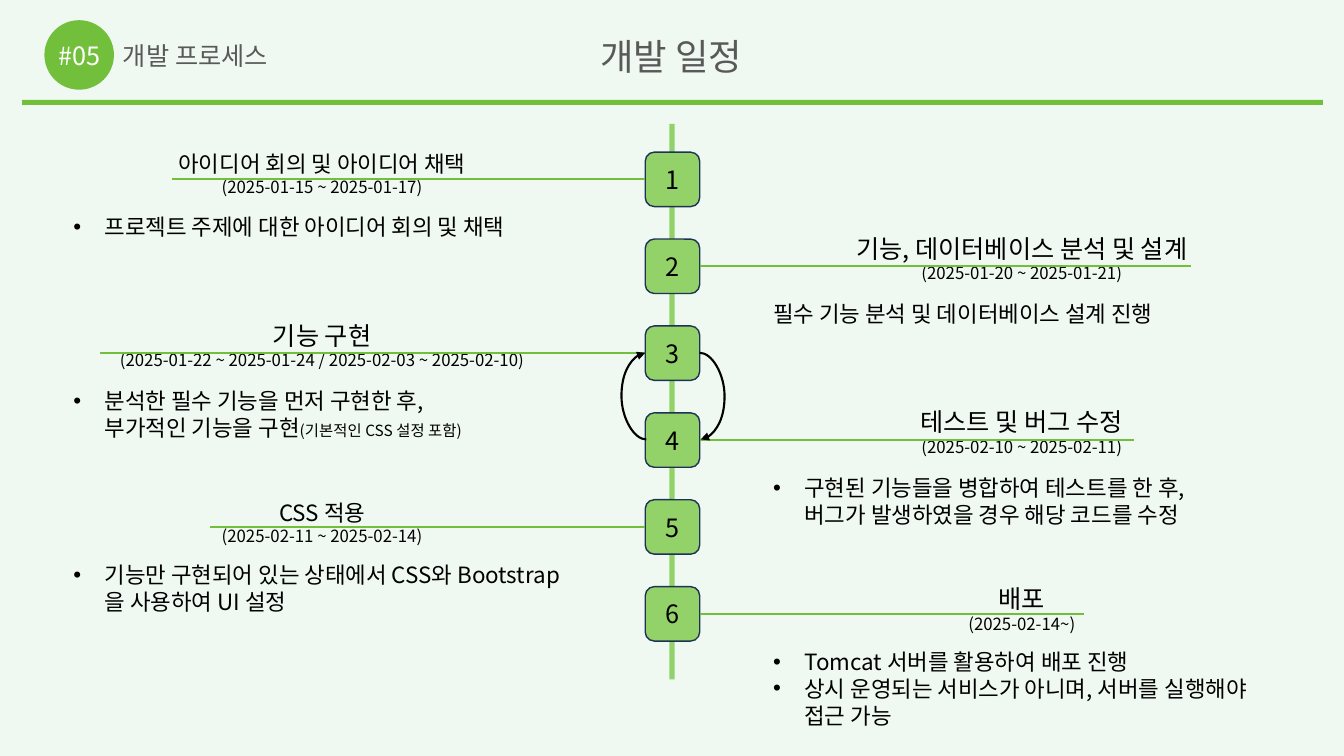
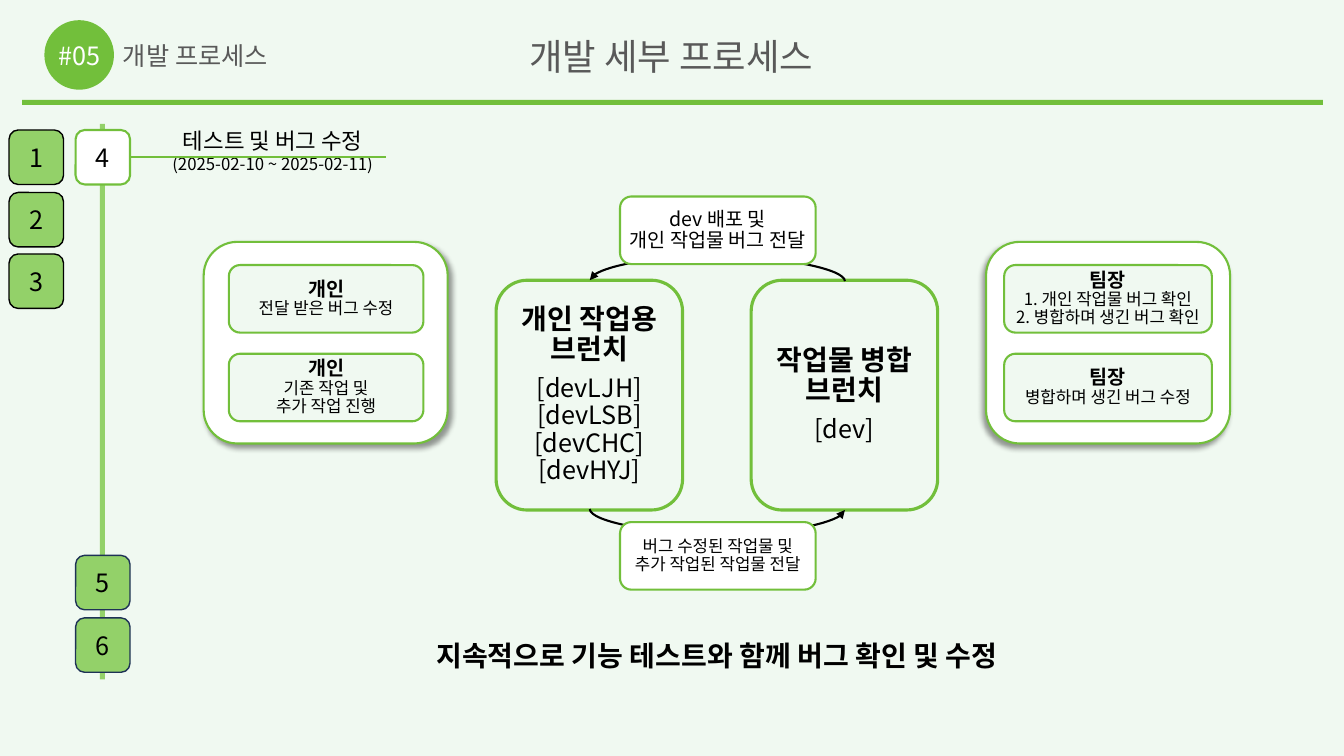
"""Build two slides on the development schedule and its detailed process."""
from lxml import etree
from pptx import Presentation
from pptx.dml.color import RGBColor
from pptx.enum import dml, shapes, text
from pptx.oxml import ns
from pptx.util import Inches, Pt

FONT = "Noto Sans CJK KR"
PALE = RGBColor(0xF0, 0xF9, 0xF1)
GREEN = RGBColor(0x72, 0xBF, 0x3B)
LIGHT_GREEN = RGBColor(0x93, 0xD1, 0x69)
NAVY = RGBColor(0x1E, 0x32, 0x56)
GRAY = RGBColor(0x59, 0x59, 0x59)
WHITE = RGBColor(0xFF, 0xFF, 0xFF)
BLACK = RGBColor(0, 0, 0)
RECT = shapes.MSO_SHAPE.RECTANGLE
ROUND = shapes.MSO_SHAPE.ROUNDED_RECTANGLE
OVAL = shapes.MSO_SHAPE.OVAL
CENTER = text.PP_ALIGN.CENTER
LEFT = text.PP_ALIGN.LEFT
MIDDLE = text.MSO_ANCHOR.MIDDLE
TOP = text.MSO_ANCHOR.TOP
BADGE = 0.54


def add_box(page, kind, left, top, width, height, fill=None, outline=None, weight=1.5):
    """Add a flat preset shape, or a text box when kind is None."""
    area = [Inches(value) for value in (left, top, width, height)]
    if kind is None:
        return page.shapes.add_textbox(*area)
    box = page.shapes.add_shape(kind, *area)
    box.shadow.inherit = False
    if fill is None:
        box.fill.background()
    else:
        box.fill.solid()
        box.fill.fore_color.rgb = fill
    if outline is None:
        box.line.fill.background()
    else:
        box.line.color.rgb = outline
        box.line.width = Pt(weight)
    return box


def write(box, paragraphs, color=BLACK, align=CENTER, anchor=MIDDLE, inset=None,
          spacing=None, after=0, bullet=False):
    """Fill a box with paragraphs, each a list of (text, size, bold) spans."""
    frame = box.text_frame
    frame.word_wrap = True
    frame.vertical_anchor = anchor
    if inset is not None:
        frame.margin_left = frame.margin_right = Inches(inset)
        frame.margin_top = frame.margin_bottom = Inches(inset)
    for number, spans in enumerate(paragraphs):
        para = frame.add_paragraph() if number else frame.paragraphs[0]
        para.alignment = align
        if spacing:
            para.line_spacing = spacing
        if after and number < len(paragraphs) - 1:
            para.space_after = Pt(after)
        if bullet:
            properties = para._p.get_or_add_pPr()
            properties.set("marL", str(Inches(0.31)))
            properties.set("indent", str(-Inches(0.31)))
            etree.SubElement(properties, ns.qn("a:buFont"), typeface="Arial")
            etree.SubElement(properties, ns.qn("a:buChar"), char="•")
        _, size, bold = spans[0]
        para.font.name = FONT
        para.font.size = Pt(size)
        para.font.bold = bold
        para.font.color.rgb = color
        defaults = para._p.pPr.find(ns.qn("a:defRPr"))
        etree.SubElement(defaults, ns.qn("a:ea"), typeface=FONT)
        for words, span_size, span_bold in spans:
            for row, line in enumerate(words.split("\n")):
                if row:
                    para.add_line_break()
                if line:
                    span = para.add_run()
                    span.text = line
                    if span_size != size:
                        span.font.size = Pt(span_size)
                    if span_bold != bold:
                        span.font.bold = span_bold


deck = Presentation()
deck.slide_width, deck.slide_height = Inches(13.33), Inches(7.5)
background = deck.slide_master.background.fill
background.solid()
background.fore_color.rgb = PALE

pages = []
for heading, spine_left in (("개발 일정", 6.64), ("개발 세부 프로세스", 0.99)):
    page = deck.slides.add_slide(deck.slide_layouts[5])
    title = page.shapes.title
    title.left, title.top = Inches(4.24), Inches(0.3)
    title.width, title.height = Inches(4.84), Inches(0.51)
    write(title, [[(heading, 26, False)]], GRAY, inset=0, spacing=1.0)
    circle = add_box(page, OVAL, 0.44, 0.2, 0.69, 0.69, GREEN)
    write(circle, [[("#05", 18, False)]], WHITE, inset=0, spacing=1.0)
    section = add_box(page, None, 1.22, 0.4, 2.36, 0.3)
    write(section, [[("개발 프로세스", 18, False)]], GRAY, LEFT, inset=0, spacing=1.0)
    add_box(page, RECT, 0.22, 0.99, 12.9, 0.05, GREEN)
    add_box(page, RECT, spine_left, 1.23, 0.05, 5.51, LIGHT_GREEN)
    pages.append(page)
schedule, process = pages

steps = [
    ("아이디어 회의 및 아이디어 채택", 16, 0.34, "2025-01-15 ~ 2025-01-17", 1.71, True,
     [[("프로젝트 주제에 대한 아이디어 회의 및 채택", 16, False)]]),
    ("기능, 데이터베이스 분석 및 설계", 18, 0.38, "2025-01-20 ~ 2025-01-21", 11.81, False,
     [[("필수 기능 분석 및 데이터베이스 설계 진행", 16, False)]]),
    ("기능 구현", 18, 0.38, "2025-01-22 ~ 2025-01-24 / 2025-02-03 ~ 2025-02-10", 0.99, True,
     [[("분석한 필수 기능을 먼저 구현한 후,\n부가적인 기능을 구현", 16, False),
       ("(기본적인 CSS 설정 포함)", 11, False)]]),
    ("테스트 및 버그 수정", 18, 0.38, "2025-02-10 ~ 2025-02-11", 11.25, True,
     [[("구현된 기능들을 병합하여 테스트를 한 후,\n버그가 발생하였을 경우 해당 코드를 수정", 16, False)]]),
    ("CSS 적용", 16, 0.33, "2025-02-11 ~ 2025-02-14", 2.08, True,
     [[("기능만 구현되어 있는 상태에서 CSS와 Bootstrap을 사용하여 UI 설정", 16, False)]]),
    ("배포", 18, 0.35, "2025-02-14~", 10.75, True,
     [[("Tomcat 서버를 활용하여 배포 진행", 16, False)],
      [("상시 운영되는 서비스가 아니며, 서버를 실행해야\n접근 가능", 16, False)]]),
]
badges = []
leaders = []
for index, (name, size, rise, dates, line_end, bullet, details) in enumerate(steps):
    top = 1.51 + index * (5.82 - 1.51) / 5
    middle = top + BADGE / 2
    column = 7.57 if index % 2 else 0.63
    badge = add_box(schedule, ROUND, 6.4, top, BADGE, BADGE, LIGHT_GREEN, NAVY, 1)
    write(badge, [[(str(index + 1), 18, False)]])
    badges.append(badge)
    leaders.append((schedule, badge, 3 if index % 2 else 1, line_end))
    label = add_box(schedule, None, column, middle - rise, 5.13, rise + 0.29)
    write(label, [[(f"{name}\n", size, False), (f"({dates})", 12, False)]], anchor=TOP)
    detail = add_box(schedule, None, column, middle + 0.29, 5.13, 0.1 + 0.27 * len(details))
    write(detail, details, align=LEFT, anchor=TOP, bullet=bullet)

for number, left, top, fill, outline, weight in (
        (1, 0.09, 1.29, LIGHT_GREEN, BLACK, 1),
        (2, 0.09, 1.91, LIGHT_GREEN, BLACK, 1),
        (3, 0.09, 2.52, LIGHT_GREEN, BLACK, 1),
        (5, 0.75, 5.51, LIGHT_GREEN, NAVY, 1),
        (6, 0.75, 6.13, LIGHT_GREEN, NAVY, 1),
        (4, 0.75, 1.29, WHITE, GREEN, 1.5)):
    current = add_box(process, ROUND, left, top, BADGE, BADGE, fill, outline, weight)
    write(current, [[(str(number), 18, False)]])
leaders.append((process, current, 3, 3.83))
label = add_box(process, None, 1.37, 1.21, 2.67, 0.63)
write(label, [[("테스트 및 버그 수정\n", 16, False), ("(2025-02-10 ~ 2025-02-11)", 12, False)]],
      anchor=TOP)

cards = [
    (2.02, 45, 2.27, 1.93, "개인", ["전달 받은 버그 수정", "기존 작업 및\n추가 작업 진행"]),
    (9.78, 135, 9.96, 2.06, "팀장",
     ["1. 개인 작업물 버그 확인\n2. 병합하며 생긴 버그 확인", "병합하며 생긴 버그 수정"]),
]
for card_left, angle, task_left, task_width, role, tasks in cards:
    card = add_box(process, ROUND, card_left, 2.4, 2.42, 2, WHITE, GREEN)
    effects = card._element.spPr.find(ns.qn("a:effectLst"))
    shadow = etree.SubElement(effects, ns.qn("a:outerShdw"), blurRad=str(Pt(4)),
                              dist=str(Pt(3)), dir=str(angle * 60000), rotWithShape="0")
    tint = etree.SubElement(shadow, ns.qn("a:srgbClr"), val=str(BLACK))
    etree.SubElement(tint, ns.qn("a:alpha"), val="40000")
    for row, task in enumerate(tasks):
        box = add_box(process, ROUND, task_left, 2.63 + 0.88 * row, task_width, 0.67, PALE, GREEN)
        write(box, [[(f"{role}\n", 14, True), (task, 12, False)]], inset=0.01, spacing=0.9)

branches = []
for left, name, members in (
        (4.92, "개인 작업용\n브런치", "[devLJH]\n[devLSB]\n[devCHC]\n[devHYJ]"),
        (7.45, "작업물 병합\n브런치", "[dev]")):
    branch = add_box(process, ROUND, left, 2.78, 1.85, 2.28, None, GREEN, 2.25)
    write(branch, [[(name, 20, True)], [(members, 18, False)]], inset=0.01, spacing=0.9, after=7)
    branches.append(branch)
personal, merged = branches

connectors = []
for page, badge, side, line_end in leaders:
    middle = badge.top + badge.height // 2
    leader = page.shapes.add_connector(
        shapes.MSO_CONNECTOR.STRAIGHT, badge.left, middle, Inches(line_end), middle)
    leader.begin_connect(badge, side)
    leader.line.color.rgb = GREEN
    connectors.append(leader)

curves = [
    (schedule, badges[3], badges[2], 1, 6.4, 3.5, 0.86, 180, None),
    (schedule, badges[2], badges[3], 3, 6.94, 3.5, 0.86, 0, None),
    (process, merged, personal, 0, 7.11, 1.52, 2.53, 270, "flipV"),
    (process, personal, merged, 2, 7.11, 3.79, 2.53, 270, "flipH"),
]
for page, source, target, side, left, top, length, turn, flip in curves:
    curve = page.shapes.add_connector(shapes.MSO_CONNECTOR.CURVE, 0, 0, 0, 0)
    curve.begin_connect(source, side)
    curve.end_connect(target, side)
    curve.left, curve.top = Inches(left), Inches(top)
    curve.width, curve.height = Inches(0.01), Inches(length)
    properties = curve._element.spPr
    frame = properties.find(ns.qn("a:xfrm"))
    for mirror in ("flipH", "flipV"):
        frame.set(mirror, "1" if mirror == flip else "0")
    frame.set("rot", str(turn * 60000))
    guides = properties.find(ns.qn("a:prstGeom")).find(ns.qn("a:avLst"))
    etree.SubElement(guides, ns.qn("a:gd"), name="adj1", fmla="val 2500000")
    curve.line.color.rgb = BLACK
    curve.line.dash_style = dml.MSO_LINE.SOLID
    etree.SubElement(properties.find(ns.qn("a:ln")), ns.qn("a:tailEnd"), type="triangle")
    connectors.append(curve)

for connector in connectors:
    connector.line.width = Pt(1.5)
    etree.SubElement(connector._element.spPr, ns.qn("a:effectLst"))

for top, message, size in ((1.95, "dev 배포 및\n개인 작업물 버그 전달", 14),
                           (5.18, "버그 수정된 작업물 및\n추가 작업된 작업물 전달", 12)):
    box = add_box(process, ROUND, 6.15, top, 1.94, 0.67, WHITE, GREEN)
    write(box, [[(message, size, False)]], inset=0.01, spacing=0.9)

summary = add_box(process, None, 3.23, 6.15, 7.76, 0.48)
write(summary, [[("지속적으로 기능 테스트와 함께 버그 확인 및 수정", 20, True)]],
      anchor=TOP, inset=0.02, spacing=1.5)

deck.save("out.pptx")
